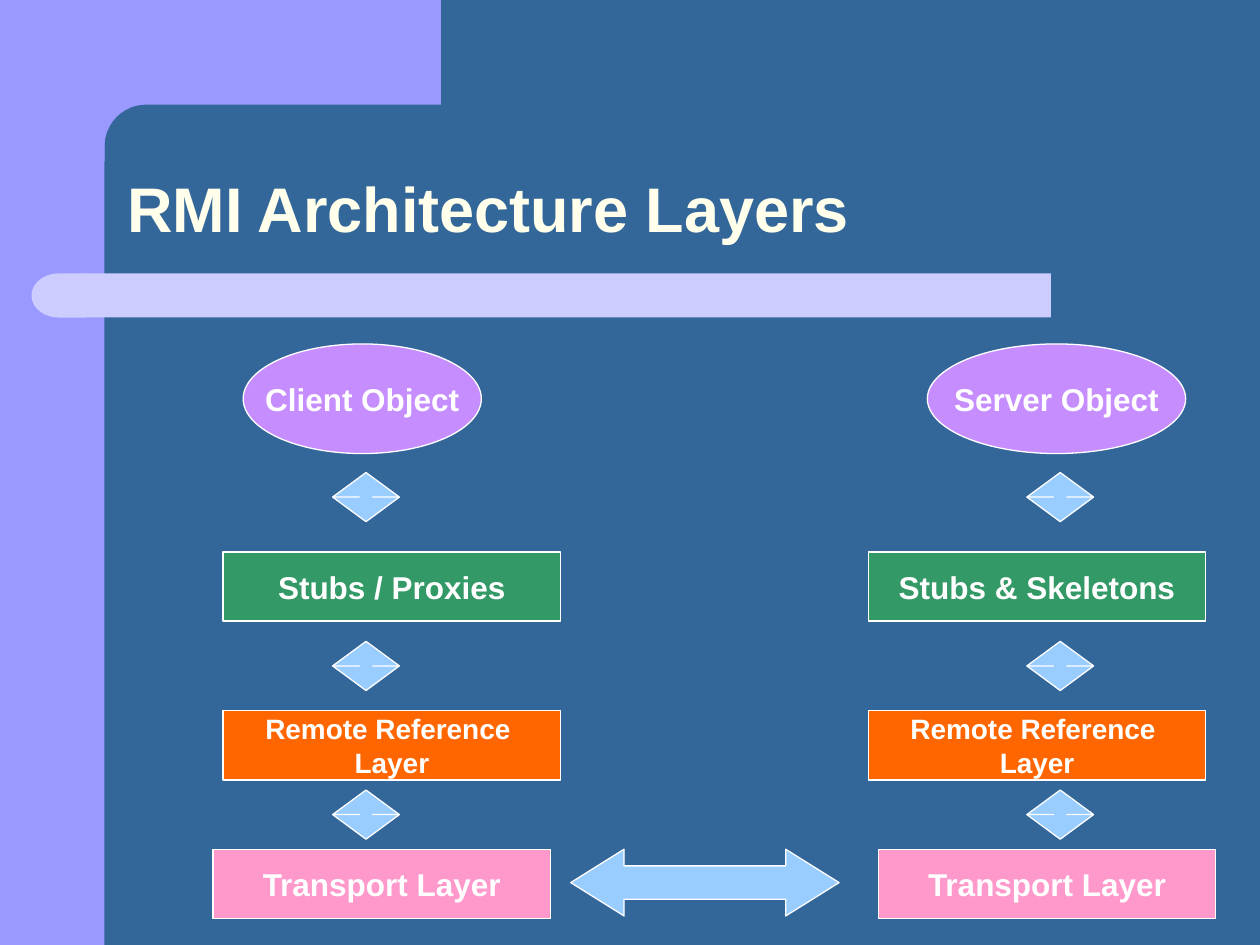
from dataclasses import dataclass
from math import cos, pi, sin

from pptx import Presentation
from pptx.dml.color import RGBColor
from pptx.enum.shapes import MSO_SHAPE
from pptx.enum.text import MSO_ANCHOR, PP_ALIGN
from pptx.util import Inches, Pt

RECT = MSO_SHAPE.RECTANGLE
OVAL = MSO_SHAPE.OVAL
DELAY = MSO_SHAPE.FLOWCHART_DELAY
UP_DOWN = MSO_SHAPE.UP_DOWN_ARROW
LEFT_RIGHT = MSO_SHAPE.LEFT_RIGHT_ARROW
MIDDLE, BOTTOM = MSO_ANCHOR.MIDDLE, MSO_ANCHOR.BOTTOM
CENTER = PP_ALIGN.CENTER

FONT = "Arial"
WHITE, CREAM = "FFFFFF", "FFFFEB"
BACK, SIDE, BAR = "336699", "9999FF", "CCCCFF"
PURPLE, GREEN, ORANGE, PINK, SKY = "C68DFF", "339966", "FF6600", "FF99CC", "99CCFF"


@dataclass
class Box:
    left: float
    top: float
    width: float
    height: float

    def place(self) -> tuple:
        return tuple(Inches(v) for v in (self.left, self.top, self.width, self.height))


@dataclass
class Layer:
    kind: int
    box: Box
    fill: str
    lines: list[str]
    size: int = 18


def color(code: str) -> RGBColor:
    return RGBColor.from_string(code)


def paint(shape, fill: str, edge: str = "") -> None:
    shape.shadow.inherit = False
    shape.fill.solid()
    shape.fill.fore_color.rgb = color(fill)
    if edge:
        shape.line.color.rgb = color(edge)
        shape.line.width = Pt(0.75)
    else:
        shape.line.fill.background()


def add_shape(slide, kind: int, box: Box, fill: str, edge: str = ""):
    shape = slide.shapes.add_shape(kind, *box.place())
    paint(shape, fill, edge)
    return shape


def add_run(para, text: str, size: int, code: str) -> None:
    run = para.add_run()
    run.text = text
    font = run.font
    font.name, font.size, font.bold = FONT, Pt(size), True
    font.color.rgb = color(code)


def add_layer(slide, layer: Layer) -> None:
    shape = add_shape(slide, layer.kind, layer.box, layer.fill, WHITE)
    frame = shape.text_frame
    frame.word_wrap = False
    frame.vertical_anchor = MIDDLE
    for i, line in enumerate(layer.lines):
        para = frame.add_paragraph() if i else frame.paragraphs[0]
        para.alignment = CENTER
        add_run(para, line, layer.size, WHITE)


def add_arrow(slide, kind: int, box: Box, head: float) -> None:
    shape = add_shape(slide, kind, box, SKY, WHITE)
    shape.adjustments[0] = 0.5
    shape.adjustments[1] = head


def add_corner(slide) -> None:
    """Top band whose inner corner is a quarter circle."""
    mid, rad, steps = 1.16, 0.33, 12
    turns = [pi / 2 * i / steps for i in range(steps + 1)]
    arc = [(mid - rad * sin(t), mid - rad * cos(t)) for t in turns]
    points = [(3.5, 0.83), *arc, (0.83, 1.28), (0.5, 1.28), (0.5, 0)]
    pen = slide.shapes.build_freeform(Inches(3.5), Inches(0))
    pen.add_line_segments([(Inches(x), Inches(y)) for x, y in points])
    paint(pen.convert_to_shape(), SIDE)


def add_frame(slide) -> None:
    add_shape(slide, RECT, Box(0, 0, 0.83, 7.5), SIDE)
    add_corner(slide)
    add_shape(slide, RECT, Box(0.67, 2.17, 7.67, 0.35), BAR)
    cap = add_shape(slide, DELAY, Box(0.25, 2.17, 0.43, 0.35), BAR)
    cap.rotation = 180


def add_title(slide, text: str) -> None:
    frame = slide.shapes.add_textbox(*Box(0.91, 0.91, 8.51, 1.09).place()).text_frame
    frame.word_wrap = True
    frame.vertical_anchor = BOTTOM
    para = frame.paragraphs[0]
    para.line_spacing = 0.9
    add_run(para, text, 36, CREAM)


def add_stack(slide, oval: Box, left: float, base: float, arrow: float,
              top: str, stub: str) -> None:
    """One side: an object over its three layers, with arrows between."""
    wide, high = 2.68, 0.55
    layers = [
        Layer(OVAL, oval, PURPLE, [top]),
        Layer(RECT, Box(left, 4.38, wide, high), GREEN, [stub]),
        Layer(RECT, Box(left, 5.64, wide, high), ORANGE,
              ["Remote Reference ", "Layer"], 16),
        Layer(RECT, Box(base, 6.74, wide, high), PINK, ["Transport Layer"]),
    ]
    for layer in layers:
        add_layer(slide, layer)
    for y in (3.75, 5.09, 6.27):
        add_arrow(slide, UP_DOWN, Box(arrow, y, 0.53, 0.39), 0.2)


def main() -> None:
    prs = Presentation()
    prs.slide_width, prs.slide_height = Inches(10), Inches(7.5)
    slide = prs.slides.add_slide(prs.slide_layouts[6])
    slide.background.fill.solid()
    slide.background.fill.fore_color.rgb = color(BACK)

    # Backdrop and title
    add_frame(slide)
    add_title(slide, "RMI Architecture Layers")

    # Client and server sides
    add_stack(slide, Box(1.93, 2.73, 1.89, 0.87), 1.77, 1.69, 2.64,
              "Client Object", "Stubs / Proxies")
    add_stack(slide, Box(7.36, 2.73, 2.05, 0.87), 6.89, 6.97, 8.15,
              "Server Object", "Stubs & Skeletons")

    # Link between the transport layers
    add_arrow(slide, LEFT_RIGHT, Box(4.53, 6.74, 2.13, 0.53), 0.8)

    prs.save("out.pptx")


if __name__ == "__main__":
    main()
